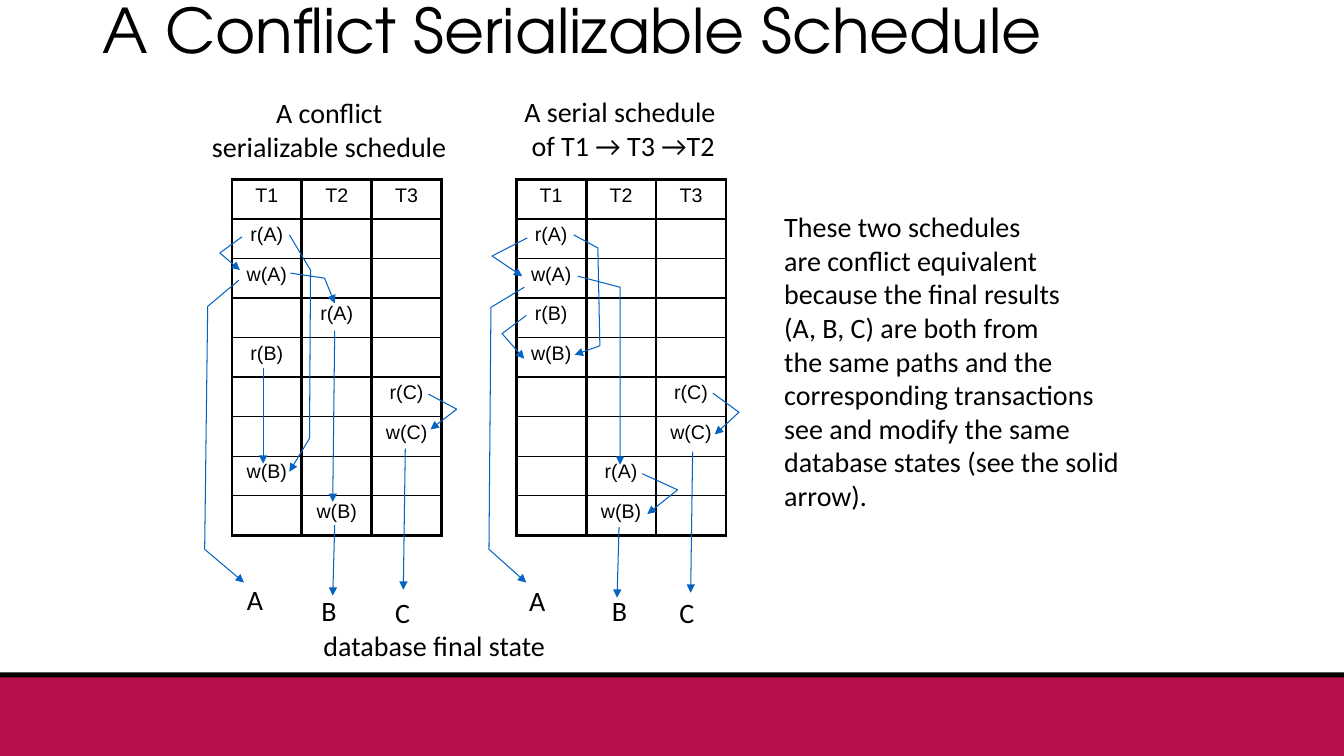
from dataclasses import dataclass

from lxml import etree
from pptx import Presentation
from pptx.dml.color import RGBColor
from pptx.enum.shapes import MSO_CONNECTOR, MSO_SHAPE
from pptx.enum.text import MSO_ANCHOR, MSO_AUTO_SIZE, PP_ALIGN
from pptx.oxml.ns import qn
from pptx.util import Inches, Pt

LEFT, CENTER = PP_ALIGN.LEFT, PP_ALIGN.CENTER
MIDDLE = MSO_ANCHOR.MIDDLE
FIT = MSO_AUTO_SIZE.SHAPE_TO_FIT_TEXT
RECT = MSO_SHAPE.RECTANGLE
STRAIGHT = MSO_CONNECTOR.STRAIGHT
TITLE_ONLY = 5

# The grid has 13.33 columns and 7.5 rows, each one inch wide and high.
COLS, ROWS = 13.33, 7.5
TABLE_TOP, TABLE_WIDE, TABLE_HIGH = 1.78, 2.08, 3.53


@dataclass(frozen=True)
class Theme:
    ink: str = "000000"
    band: str = "B6114D"
    arrow: str = "0563C1"
    title_font: str = "TeX Gyre Adventor"
    body_font: str = "Calibri"
    cell_font: str = "Arial"
    title_size: float = 44
    body_size: float = 20
    cell_size: float = 14
    thick: float = 2.25
    thin: float = 1
    fine: float = 0.75


class Page:
    """Draws on one slide, with lengths in grid columns and rows."""

    def __init__(self, deck, theme):
        self.theme = theme
        self.slide = deck.slides.add_slide(deck.slide_layouts[TITLE_ONLY])
        self.shapes = self.slide.shapes

    def style(self, frame, font, size, align=LEFT):
        for para in frame.paragraphs:
            para.alignment = align
            for run in para.runs:
                run.font.name = font
                run.font.size = Pt(size)
                run.font.color.rgb = RGBColor.from_string(self.theme.ink)

    def band(self, top, high, color):
        box = self.shapes.add_shape(RECT, 0, Inches(top), Inches(COLS), Inches(high))
        box.shadow.inherit = False
        box.fill.solid()
        box.fill.fore_color.rgb = RGBColor.from_string(color)
        box.line.fill.background()

    def title(self, text, left, top, wide, high):
        box = self.shapes.title
        box.left, box.top = Inches(left), Inches(top)
        box.width, box.height = Inches(wide), Inches(high)
        frame = box.text_frame
        frame.text = text
        frame.vertical_anchor = MIDDLE
        frame.auto_size = MSO_AUTO_SIZE.NONE
        frame.paragraphs[0].line_spacing = 0.9
        self.style(frame, self.theme.title_font, self.theme.title_size)

    def text(self, text, left, top, wide, high=0.44, align=LEFT, wrap=False):
        box = self.shapes.add_textbox(*map(Inches, (left, top, wide, high)))
        frame = box.text_frame
        frame.text = text
        frame.word_wrap = wrap
        frame.auto_size = FIT
        self.style(frame, self.theme.body_font, self.theme.body_size, align)

    def border(self, cell, widths):
        """Set the left, right, top and bottom lines, which precede the fill."""
        props = cell._tc.get_or_add_tcPr()
        for spot, (side, width) in enumerate(zip("LRTB", widths)):
            line = etree.Element(qn(f"a:ln{side}"), w=str(Pt(width)))
            fill = etree.SubElement(line, qn("a:solidFill"))
            etree.SubElement(fill, qn("a:srgbClr"), val=self.theme.ink)
            props.insert(spot, line)

    def table(self, left, heads, steps):
        """Give each step, a column and its action, a row of its own."""
        look = self.theme
        count = len(steps) + 1
        grid = self.shapes.add_table(
            count, len(heads), Inches(left), Inches(TABLE_TOP),
            Inches(TABLE_WIDE), Inches(TABLE_HIGH)).table
        grid.first_row = grid.horz_banding = False
        words = {(0, col): head for col, head in enumerate(heads)}
        words.update({(row, heads.index(head)): act
                      for row, (head, act) in enumerate(steps, 1)})
        for row in range(count):
            upper = look.thick if row < 2 else look.thin
            lower = look.thick if row in (0, count - 1) else look.thin
            for col in range(len(heads)):
                cell = grid.cell(row, col)
                cell.fill.background()
                self.border(cell, (look.thick, look.thick, upper, lower))
                frame = cell.text_frame
                frame.text = words.get((row, col), "")
                self.style(frame, look.cell_font, look.cell_size, CENTER)
                end = frame.paragraphs[0]._p.get_or_add_endParaRPr()
                end.set("sz", str(look.cell_size * 100))

    def arrow(self, *points):
        """Join the points, with a head at the last."""
        spots = [(Inches(x), Inches(y)) for x, y in points]
        if len(spots) == 2:
            shape = self.shapes.add_connector(STRAIGHT, *spots[0], *spots[1])
        else:
            build = self.shapes.build_freeform(*spots[0])
            build.add_line_segments(spots[1:], close=False)
            shape = build.convert_to_shape()
            shape.fill.background()
            shape.shadow.inherit = False
        shape.line.color.rgb = RGBColor.from_string(self.theme.arrow)
        shape.line.width = Pt(self.theme.fine)
        etree.SubElement(shape.line._get_or_add_ln(), qn("a:tailEnd"), type="triangle")
        if len(spots) == 2:
            etree.SubElement(shape._element.spPr, qn("a:effectLst"))


HEADS = ["T1", "T2", "T3"]
MIXED = [("T1", "r(A)"), ("T1", "w(A)"), ("T2", "r(A)"), ("T1", "r(B)"),
         ("T3", "r(C)"), ("T3", "w(C)"), ("T1", "w(B)"), ("T2", "w(B)")]
SERIAL = [("T1", "r(A)"), ("T1", "w(A)"), ("T1", "r(B)"), ("T1", "w(B)"),
          ("T3", "r(C)"), ("T3", "w(C)"), ("T2", "r(A)"), ("T2", "w(B)")]

MIXED_FLOW = [
    [(2.4, 2.35), (2.18, 2.51), (2.38, 2.68)],
    [(2.37, 2.78), (2.06, 3.04), (2.03, 5.45), (2.42, 5.78)],
    [(2.87, 2.33), (3.08, 2.68), (3.07, 4.35), (2.87, 4.68)],
    [(2.88, 2.71), (3.22, 2.76), (3.32, 3.01)],
    [(2.61, 3.65), (2.61, 4.6)],
    [(3.32, 3.28), (3.3, 4.98)],
    [(4.25, 3.91), (4.53, 4.06), (4.27, 4.26)],
    [(3.32, 5.21), (3.3, 5.91)],
    [(4.02, 4.45), (4, 5.85)],
]
SERIAL_FLOW = [
    [(5.23, 2.36), (4.88, 2.54), (5.18, 2.74)],
    [(5.2, 2.85), (4.87, 3.05), (4.85, 5.45), (5.22, 5.78)],
    [(5.69, 2.33), (5.93, 2.46), (5.95, 3.43), (5.7, 3.52)],
    [(5.22, 3.13), (4.98, 3.31), (5.2, 3.56)],
    [(5.73, 2.74), (6.15, 2.85), (6.15, 4.61)],
    [(7.07, 3.9), (7.33, 4.09), (7.09, 4.31)],
    [(6.37, 4.7), (6.72, 4.86), (6.42, 5.1)],
    [(6.14, 5.23), (6.12, 5.93)],
    [(6.87, 4.48), (6.85, 5.88)],
]
STATES = [("A", 2.35, 5.73), ("B", 3.09, 5.84), ("C", 3.82, 5.86),
          ("A", 5.15, 5.74), ("B", 5.97, 5.84), ("C", 6.64, 5.86)]
CLAIM = """These two schedules
are conflict equivalent
because the final results
(A, B, C) are both from
the same paths and the
corresponding transactions
see and modify the same database states (see the solid arrow)."""


def main():
    deck = Presentation()
    deck.slide_width, deck.slide_height = Inches(COLS), Inches(ROWS)
    theme = Theme()
    page = Page(deck, theme)
    for top, color in ((6.67, theme.ink), (6.72, theme.band)):
        page.band(top, ROWS - top, color)
    page.title("A Conflict Serializable Schedule", 0.92, -0.17, 11.5, 1)
    page.table(2.3, HEADS, MIXED)
    page.table(5.12, HEADS, SERIAL)
    page.text("A conflict\nserializable schedule", 1.99, 0.9, 2.55, 0.77, CENTER)
    page.text("A serial schedule \nof T1 → T3 →T2", 5.09, 0.89, 2.18, 0.77, CENTER)
    page.text(CLAIM, 7.68, 2.03, 3.6, 3.1, wrap=True)
    for points in MIXED_FLOW + SERIAL_FLOW:
        page.arrow(*points)
    for name, left, top in STATES:
        page.text(name, left, top, 0.35)
    page.text("database final state", 3.11, 6.19, 2.43)
    deck.save("out.pptx")


if __name__ == "__main__":
    main()
